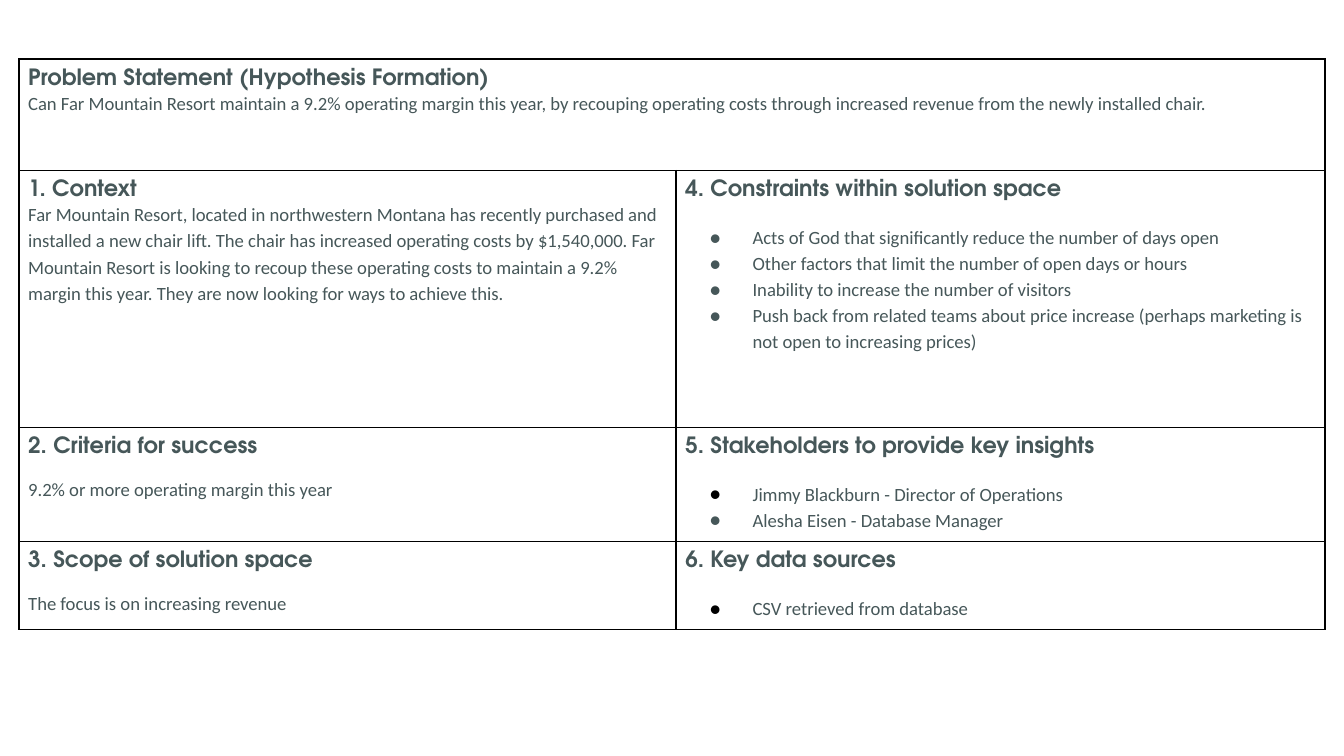
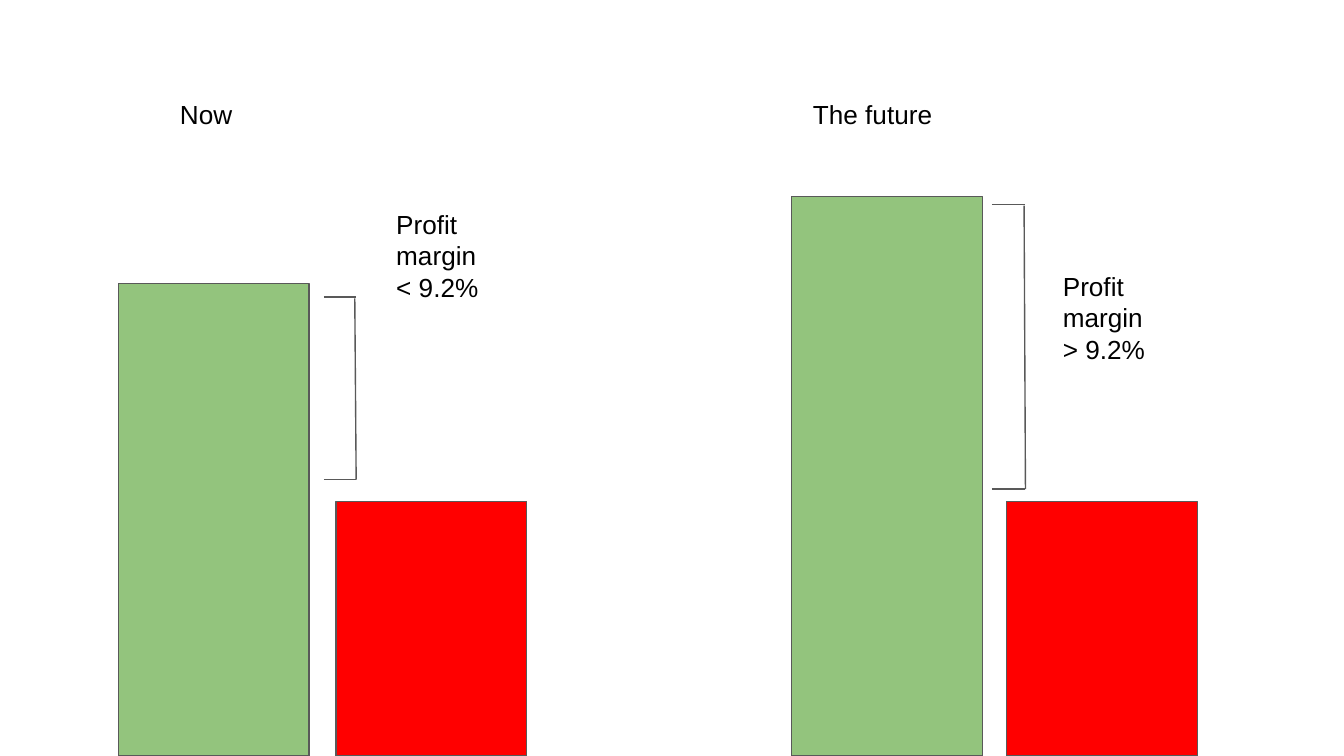
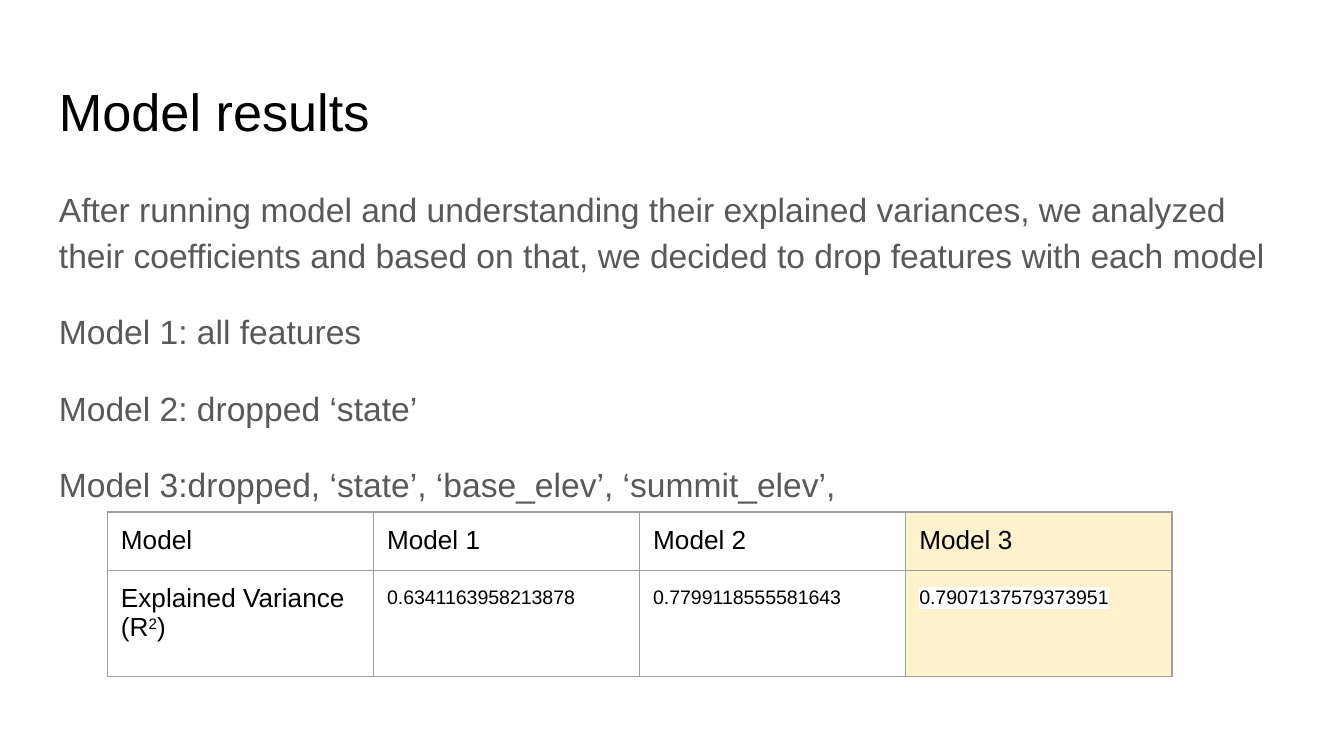
from lxml import etree
from pptx import Presentation
from pptx.dml.color import RGBColor
from pptx.enum.shapes import MSO_CONNECTOR, MSO_SHAPE
from pptx.oxml import parse_xml
from pptx.oxml.ns import nsdecls, qn
from pptx.util import Inches, Pt

rgb = RGBColor.from_string

BLACK, WHITE = "000000", "FFFFFF"
SLATE, GREY, BORDER = "465759", "595959", "9E9E9E"
GREEN, RED, CREAM = "93C47D", "FF0000", "FFF2CC"
HEADING_FONT, BODY_FONT, BASE_FONT = "TeX Gyre Adventor", "Calibri", "Arial"


def add_run(p, text, size, color=BLACK, font=BASE_FONT, bold=False):
    r = p.add_run()
    r.text = text
    r.font.size = Pt(size)
    r.font.name = font
    r.font.bold = bold
    r.font.color.rgb = rgb(color)
    return r


def style_cell(cell, margin, border, width, fill=None):
    """Set margins, fill and the same border on all four sides."""
    cell.margin_left = cell.margin_right = Inches(margin)
    cell.margin_top = cell.margin_bottom = Inches(margin)
    if fill:
        cell.fill.solid()
        cell.fill.fore_color.rgb = rgb(fill)
    else:
        cell.fill.background()
    tcPr = cell._tc.get_or_add_tcPr()
    for i, side in enumerate("LRTB"):
        tcPr.insert(i, parse_xml(
            f'<a:ln{side} {nsdecls("a")} w="{Pt(width)}"><a:solidFill>'
            f'<a:srgbClr val="{border}"/></a:solidFill></a:ln{side}>'))


prs = Presentation()
prs.slide_width = Inches(10)
prs.slide_height = prs.slide_width * 9 // 16
blank = prs.slide_layouts[6]

# Slide 1: problem statement worksheet
# Each cell: heading, space before the body, body lines, bullet colours (None for plain text)
worksheet = {
    (0, 0): ("Problem Statement (Hypothesis Formation)", 0, [
        ("Can Far Mountain Resort maintain a 9.2% operating margin this year, by recouping "
         "operating costs through increased revenue from the newly installed chair.", None)]),
    (1, 0): ("1. Context", 0, [
        ("Far Mountain Resort, located in northwestern Montana has recently purchased and "
         "installed a new chair lift. The chair has increased operating costs by $1,540,000. "
         "Far Mountain Resort is looking to recoup these operating costs to maintain a 9.2% "
         "margin this year. They are now looking for ways to achieve this.", None)]),
    (1, 1): ("4. Constraints within solution space", 12, [
        ("Acts of God that significantly reduce the number of days open", SLATE),
        ("Other factors that limit the number of open days or hours", SLATE),
        ("Inability to increase the number of visitors", SLATE),
        ("Push back from related teams about price increase (perhaps marketing is "
         "not open to increasing prices)", SLATE)]),
    (2, 0): ("2. Criteria for success", 9.5, [
        ("9.2% or more operating margin this year", None)]),
    (2, 1): ("5. Stakeholders to provide key insights", 12, [
        ("Jimmy Blackburn - Director of Operations", BLACK),
        ("Alesha Eisen - Database Manager", SLATE)]),
    (3, 0): ("3. Scope of solution space", 9.5, [
        ("The focus is on increasing revenue", None)]),
    (3, 1): ("6. Key data sources", 12, [
        ("CSV retrieved from database", BLACK)]),
}
col_widths, row_heights = [4.89, 4.83], [0.83, 1.91, 0.85, 0.65]

slide = prs.slides.add_slide(blank)
table = slide.shapes.add_table(4, 2, Inches(0.14), Inches(0.44), Inches(sum(col_widths)),
                               Inches(sum(row_heights))).table
table.first_row = table.horz_banding = False
for col, width in zip(table.columns, col_widths):
    col.width = Inches(width)
for row, height in zip(table.rows, row_heights):
    row.height = Inches(height)
for cell in table.iter_cells():
    style_cell(cell, 0.07, BLACK, 1)
table.cell(0, 0).merge(table.cell(0, 1))

for (row, col), (heading, gap, lines) in worksheet.items():
    tf = table.cell(row, col).text_frame
    add_run(tf.paragraphs[0], heading, 12, SLATE, HEADING_FONT, True)
    for i, (text, bullet) in enumerate(lines):
        p = tf.add_paragraph()
        p.line_spacing = 1.15
        p.space_before = Pt(0 if i else gap)
        add_run(p, text, 10, SLATE, BODY_FONT)
        if bullet:
            pPr = p._p.get_or_add_pPr()
            pPr.set("marL", str(Inches(0.5)))
            pPr.set("indent", str(Inches(-0.32)))
            color = etree.SubElement(pPr, qn("a:buClr"))
            etree.SubElement(color, qn("a:srgbClr"), val=bullet)
            etree.SubElement(pPr, qn("a:buFont"), typeface=BODY_FONT)
            etree.SubElement(pPr, qn("a:buChar"), char="●")

# Slide 2: revenue (green) against costs (red), now and in the future
slide = prs.slides.add_slide(blank)
bar_width, cost_top = Inches(1.42), 3.73
panels = [
    # revenue bar x and top, cost bar x, bracket (left, right, top, bottom), texts
    (0.88, 2.11, 2.5, (2.41, 2.65, 2.21, 3.57),
     [(1.24, 0.63, 0.68, 0.35, ["Now"]),
      (2.85, 1.45, 1.3, 1.11, ["Profit margin", "< 9.2%"])]),
    (5.89, 1.46, 7.49, (7.38, 7.63, 1.52, 3.64),
     [(5.95, 0.63, 1.3, 0.35, ["The future"]),
      (7.81, 1.91, 1.3, 1.11, ["Profit margin", "> 9.2%"])]),
]
for revenue_x, revenue_top, cost_x, (left, right, top, bottom), texts in panels:
    for x, y, fill in [(revenue_x, revenue_top, GREEN), (cost_x, cost_top, RED)]:
        sp = slide.shapes.add_shape(MSO_SHAPE.RECTANGLE, Inches(x), Inches(y),
                                    bar_width, prs.slide_height - Inches(y))
        sp.shadow.inherit = False
        sp.fill.solid()
        sp.fill.fore_color.rgb = rgb(fill)
        sp.line.color.rgb = rgb(GREY)
        sp.line.width = Pt(0.75)

    bracket = slide.shapes.add_group_shape()
    for ends in [(left, top, right, top),
                 (right - 0.01, top + 0.01, right, bottom),
                 (left, bottom, right, bottom)]:
        line = bracket.shapes.add_connector(MSO_CONNECTOR.STRAIGHT, *map(Inches, ends))
        line.line.color.rgb = rgb(GREY)
        line.line.width = Pt(0.75)
        etree.SubElement(line._element.spPr, qn("a:effectLst"))

    for x, y, width, height, lines in texts:
        tf = slide.shapes.add_textbox(*map(Inches, (x, y, width, height))).text_frame
        tf.word_wrap = True
        tf.margin_top = tf.margin_bottom = Inches(0.1)
        for i, text in enumerate(lines):
            p = tf.add_paragraph() if i else tf.paragraphs[0]
            add_run(p, text, 14)

# Slide 3: model results
slide = prs.slides.add_slide(blank)
model_notes = [
    "After running model and understanding their explained variances, we analyzed their "
    "coefficients and based on that, we decided to drop features with each model",
    "Model 1: all features",
    "Model 2: dropped ‘state’",
    "Model 3:dropped, ‘state’, ‘base_elev’, ‘summit_elev’,",
]
for y, height, size, color, spacing, lines in [
        (0.49, 0.63, 28, BLACK, 1, ["Model results"]),
        (1.26, 3.74, 18, GREY, 1.15, model_notes)]:
    tf = slide.shapes.add_textbox(Inches(0.34), Inches(y), Inches(9.32),
                                  Inches(height)).text_frame
    tf.word_wrap = True
    tf.margin_top = tf.margin_bottom = Inches(0.1)
    for i, text in enumerate(lines):
        p = tf.add_paragraph() if i else tf.paragraphs[0]
        p.line_spacing = spacing
        p.space_before = Pt(16 if i else 0)
        add_run(p, text, size, color)

scores = {"Model 1": "0.6341163958213878",
          "Model 2": "0.7799118555581643",
          "Model 3": "0.7907137579373951"}
best = "Model 3"
table = slide.shapes.add_table(2, 4, Inches(0.8), Inches(3.81), Inches(4 * 1.98),
                               Inches(1.21)).table
table.first_row = table.horz_banding = False
table.rows[0].height, table.rows[1].height = Inches(0.42), Inches(0.79)

for col, name in enumerate(["Model", *scores]):
    table.columns[col].width = Inches(1.98)
    for row in range(2):
        style_cell(table.cell(row, col), 0.1, BORDER, 0.75, CREAM if name == best else None)
    add_run(table.cell(0, col).text_frame.paragraphs[0], name, 14)
    p = table.cell(1, col).text_frame.paragraphs[0]
    if name in scores:
        p.line_spacing = 1.15
        rPr = add_run(p, scores[name], 10.5)._r.get_or_add_rPr()
        highlight = etree.Element(qn("a:highlight"))
        etree.SubElement(highlight, qn("a:srgbClr"), val=WHITE)
        rPr.find(qn("a:solidFill")).addnext(highlight)
    else:
        add_run(p, "Explained Variance (R", 14)
        add_run(p, "2", 14)._r.get_or_add_rPr().set("baseline", "30000")
        add_run(p, ")", 14)

prs.save("out.pptx")
